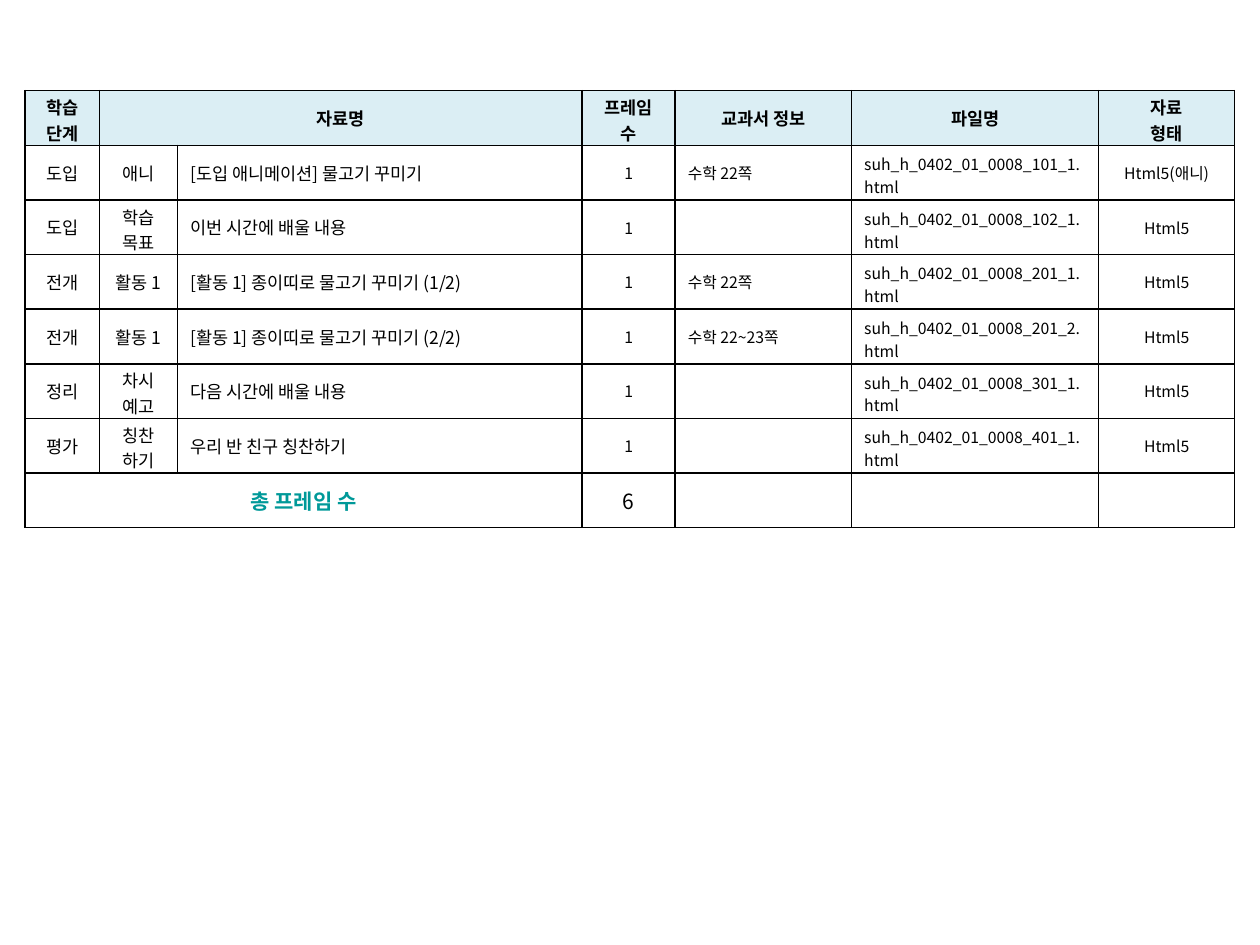
"""Build a lesson plan table listing each learning step, its material and its file."""
from dataclasses import dataclass

import pptx
import pptx.dml.color
import pptx.enum.text
import pptx.oxml
import pptx.oxml.ns
import pptx.util

Inches = pptx.util.Inches
RGBColor = pptx.dml.color.RGBColor
Align = pptx.enum.text.PP_ALIGN

BLACK = RGBColor(0x00, 0x00, 0x00)
TEAL = RGBColor(0x00, 0x99, 0x99)
PALE_BLUE = RGBColor(0xDB, 0xEE, 0xF4)
FONT = "Noto Sans CJK KR"
COLUMN_WIDTHS = (0.59, 0.62, 3.21, 0.74, 1.4, 1.96, 1.08)
COLUMN_ALIGNS = (Align.CENTER, Align.CENTER, Align.LEFT, Align.CENTER,
                 Align.JUSTIFY, Align.JUSTIFY, Align.CENTER)
COLUMN_SIZES = (10, 10, 10, 9, 9, 9, 9)
TABLE_HEIGHT = 3.47
HEADERS = ("학습 단계", "자료명", "", "프레임 수", "교과서 정보", "파일명", "자료\n형태")
TWO_LINE_LABELS = {"학습 단계", "프레임 수", "자료\n형태", "학습 목표", "차시 예고", "칭찬\n하기"}


@dataclass(frozen=True)
class Lesson:
    step: str
    activity: str
    title: str
    textbook: str
    file_code: str
    form: str = "Html5"

    def values(self) -> tuple[str, ...]:
        file_name = f"suh_h_0402_01_0008_{self.file_code}.html"
        return (self.step, self.activity, self.title, "1", self.textbook, file_name, self.form)


LESSONS = (
    Lesson("도입", "애니", "[도입 애니메이션] 물고기 꾸미기", "수학 22쪽", "101_1", "Html5(애니)"),
    Lesson("도입", "학습 목표", "이번 시간에 배울 내용", "", "102_1"),
    Lesson("전개", "활동 1", "[활동 1] 종이띠로 물고기 꾸미기 (1/2)", "수학 22쪽", "201_1"),
    Lesson("전개", "활동 1", "[활동 1] 종이띠로 물고기 꾸미기 (2/2)", "수학 22~23쪽", "201_2"),
    Lesson("정리", "차시 예고", "다음 시간에 배울 내용", "", "301_1"),
    Lesson("평가", "칭찬\n하기", "우리 반 친구 칭찬하기", "", "401_1"),
)


def add_borders(cell) -> None:
    properties = cell._tc.get_or_add_tcPr()
    for side in ("lnL", "lnR", "lnT", "lnB"):
        properties.append(pptx.oxml.parse_xml(
            f'<a:{side} {pptx.oxml.ns.nsdecls("a")} w="{pptx.util.Pt(1)}">'
            f'<a:solidFill><a:srgbClr val="{BLACK}"/></a:solidFill></a:{side}>'))


def set_insets(cell, text: str) -> None:
    top, bottom = 0.05, 0.05
    if text in TWO_LINE_LABELS:
        top, bottom = 0.03, 0
    elif text.endswith(".html"):
        top, bottom = 0.05, 0.01
    cell.margin_top, cell.margin_bottom = Inches(top), Inches(bottom)


def write_text(cell, text: str, *, size: int = 10, bold: bool = False,
               color: RGBColor = BLACK, align=Align.CENTER) -> None:
    set_insets(cell, text)
    frame = cell.text_frame
    for index, line in enumerate(text.split("\n")):
        para = frame.add_paragraph() if index else frame.paragraphs[0]
        para.alignment = align
        if not line:
            para._p.append(pptx.oxml.parse_xml(
                f'<a:endParaRPr {pptx.oxml.ns.nsdecls("a")} sz="{size * 100}"/>'))
            continue
        span = para.add_run()
        span.text = line
        span.font.size = pptx.util.Pt(size)
        span.font.bold = bold
        span.font.color.rgb = color
        span.font.name = FONT
        span._r.get_or_add_rPr().append(pptx.oxml.parse_xml(
            f'<a:ea {pptx.oxml.ns.nsdecls("a")} typeface="{FONT}"/>'))


def add_lesson_table(page) -> None:
    row_count = len(LESSONS) + 2
    table = page.shapes.add_table(
        row_count, len(COLUMN_WIDTHS), Inches(0.2), Inches(0.72),
        Inches(sum(COLUMN_WIDTHS)), Inches(TABLE_HEIGHT)).table
    table.first_row = table.horz_banding = False
    for column, width in zip(table.columns, COLUMN_WIDTHS):
        column.width = Inches(width)
    for row in table.rows:
        row.height = Inches(TABLE_HEIGHT / row_count)
    for cell in table.iter_cells():
        cell.vertical_anchor = pptx.enum.text.MSO_ANCHOR.MIDDLE
        add_borders(cell)
        cell.fill.background()

    for column, header in enumerate(HEADERS):
        cell = table.cell(0, column)
        cell.fill.solid()
        cell.fill.fore_color.rgb = PALE_BLUE
        write_text(cell, header, bold=True)
    for row, lesson in enumerate(LESSONS, start=1):
        for column, text in enumerate(lesson.values()):
            write_text(table.cell(row, column), text, size=COLUMN_SIZES[column],
                       align=COLUMN_ALIGNS[column])
    total = row_count - 1
    for column in range(len(COLUMN_WIDTHS)):
        if column == 0:
            write_text(table.cell(total, column), "총 프레임 수", size=12, bold=True, color=TEAL)
        else:
            write_text(table.cell(total, column), "6" if column == 3 else "", size=12)

    table.cell(0, 1).merge(table.cell(0, 2))
    table.cell(total, 0).merge(table.cell(total, 2))


def main() -> None:
    deck = pptx.Presentation()
    deck.slide_width, deck.slide_height = Inches(10), Inches(7.5)
    add_lesson_table(deck.slides.add_slide(deck.slide_layouts[6]))
    deck.save("out.pptx")


if __name__ == "__main__":
    main()
